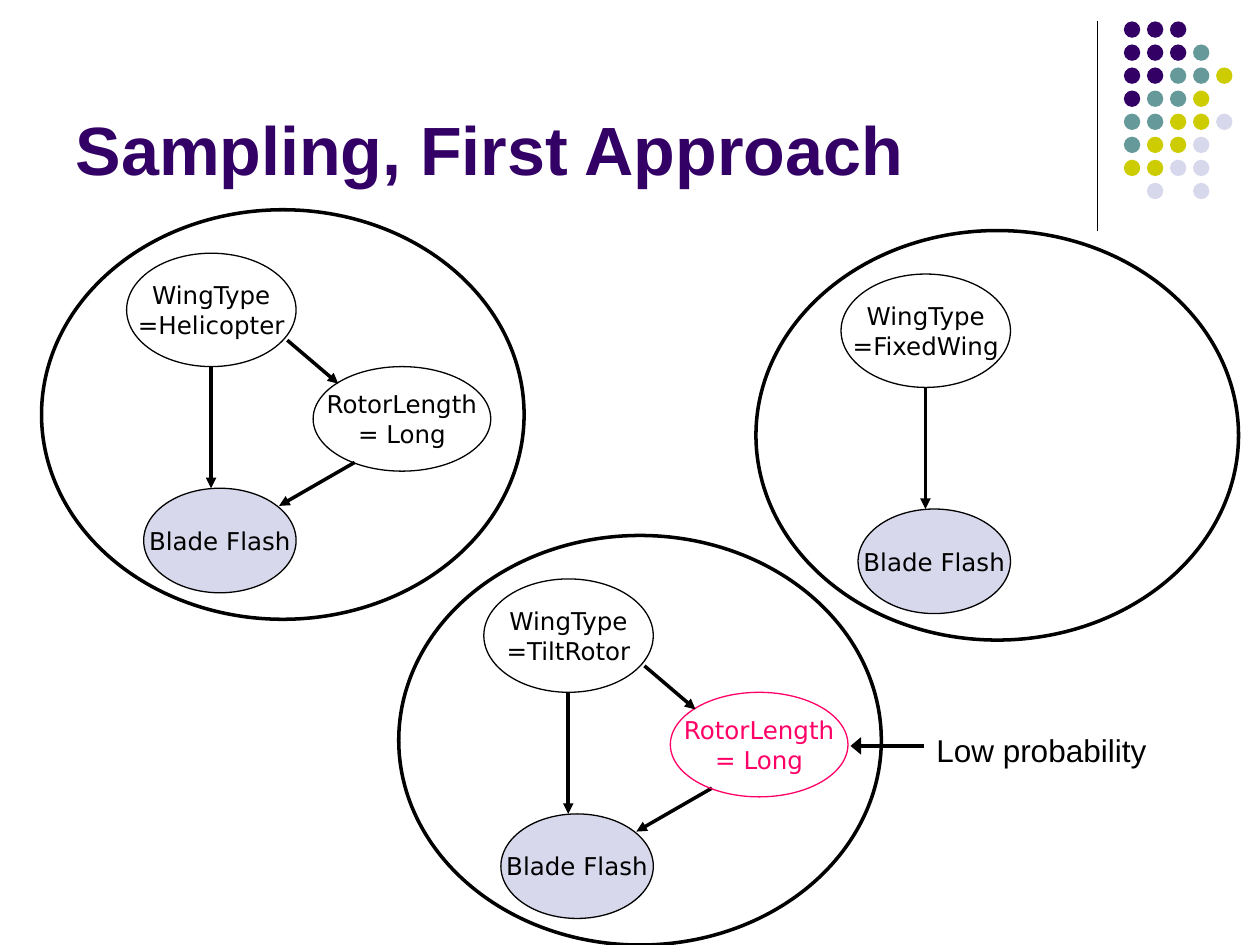
from lxml import etree
from pptx import Presentation
from pptx import util as u
from pptx.dml.color import RGBColor
from pptx.enum import shapes, text
from pptx.oxml.ns import qn

INK = RGBColor(0x00, 0x00, 0x00)
PLUM = RGBColor(0x33, 0x00, 0x66)
TEAL = RGBColor(0x66, 0x99, 0x99)
LIME = RGBColor(0xCC, 0xCC, 0x00)
MIST = RGBColor(0xD8, 0xD8, 0xEC)
PINK = RGBColor(0xFF, 0x00, 0x66)
HUES = {"P": PLUM, "T": TEAL, "L": LIME, "M": MIST}
DOTS = ["PPP", "PPPT", "PPTTL", "PTTL", "TTLLM", "TLLM", "LLMM", " M M"]
SANS, ROUND = "Arial", "DejaVu Sans"
THIN, THICK = 0.75, 2

# The slide is a grid of 1000 columns by 750 rows
COLS, ROWS = 1000, 750
WIDE, HIGH = u.Inches(10), u.Inches(7.5)


def grid(x, y):
    return round(x * WIDE / COLS), round(y * HIGH / ROWS)


def write(frame, lines, size, font, hue, align, bold=False):
    for i, line in enumerate(lines):
        para = frame.paragraphs[0] if i == 0 else frame.add_paragraph()
        para.alignment = align
        run = para.add_run()
        run.text = line
        run.font.size = u.Pt(size)
        run.font.name = font
        run.font.bold = bold
        run.font.color.rgb = hue


def oval(slide, box, fill=None, line=None, width=THIN):
    x, y, w, h = box
    shape = slide.shapes.add_shape(
        shapes.MSO_SHAPE.OVAL, *grid(x, y), *grid(w, h))
    shape.shadow.inherit = False
    if fill is None:
        shape.fill.background()
    else:
        shape.fill.solid()
        shape.fill.fore_color.rgb = fill
    if line is None:
        shape.line.fill.background()
    else:
        shape.line.color.rgb = line
        shape.line.width = u.Pt(width)
    return shape


def node(slide, box, lines, fill=None, hue=INK):
    frame = oval(slide, box, fill, hue).text_frame
    frame.word_wrap = False
    frame.vertical_anchor = text.MSO_ANCHOR.MIDDLE
    write(frame, lines, 14, ROUND, hue, text.PP_ALIGN.CENTER)


def rule(slide, start, end, width=THIN):
    line = slide.shapes.add_connector(
        shapes.MSO_CONNECTOR.STRAIGHT, *grid(*start), *grid(*end))
    line.line.color.rgb = INK
    line.line.width = u.Pt(width)
    etree.SubElement(line._element.spPr, qn("a:effectLst"))
    return line


def arrow(slide, start, end, head="med"):
    edge = rule(slide, start, end, THICK).line._get_or_add_ln()
    etree.SubElement(edge, qn("a:tailEnd"), type="triangle", w=head, len="med")


def corner(slide, x, y):
    """Vertical rule and dot pattern at the top right."""
    rule(slide, (x, y), (x, y + 166))
    step, size = 18.3, 13
    for r, row in enumerate(DOTS):
        for c, key in enumerate(row):
            if key in HUES:
                box = (x + 21 + c * step, y + r * step, size, size)
                oval(slide, box, HUES[key])


def heading(slide, x, y, w, h):
    title = slide.shapes.title
    title.left, title.top = grid(x, y)
    title.width, title.height = grid(w, h)
    frame = title.text_frame
    frame.word_wrap = True
    frame.auto_size = text.MSO_AUTO_SIZE.NONE
    frame.vertical_anchor = text.MSO_ANCHOR.BOTTOM
    write(frame, ["Sampling, First Approach"], 39, SANS, PLUM,
          text.PP_ALIGN.LEFT, True)


def world(slide, x, y, wing, rotor=None):
    """One sampled world; rotor is the colour of its optional node."""
    def at(dx, dy):
        return x + dx, y + dy

    node(slide, (*at(67.5, 34.5), 134.5, 90), ["WingType", "=" + wing])
    node(slide, (*at(81, 221), 121, 83), ["Blade Flash"], MIST)
    arrow(slide, at(134.5, 124.5), at(134.5, 221))
    if rotor is not None:
        arrow(slide, at(248.5, 200.5), at(188.5, 235))
        node(slide, (*at(215.5, 124.5), 141, 83),
             ["RotorLength", "= Long"], hue=rotor)
        arrow(slide, at(195, 103.5), at(235.5, 138))
    oval(slide, (x, y, 383, 325), line=INK, width=THICK)


def remark(slide, x, y, w, h):
    """Label with an arrow that points left to the unlikely node."""
    arrow(slide, (x, y + 17), (x - 58, y + 17), "lg")
    label = slide.shapes.add_textbox(*grid(x, y), *grid(w, h))
    frame = label.text_frame
    frame.word_wrap = False
    frame.auto_size = text.MSO_AUTO_SIZE.SHAPE_TO_FIT_TEXT
    write(frame, ["Low probability"], 18, SANS, INK, text.PP_ALIGN.CENTER)


def main():
    deck = Presentation()
    deck.slide_width, deck.slide_height = WIDE, HIGH
    slide = deck.slides.add_slide(deck.slide_layouts[5])
    corner(slide, 871, 17)
    heading(slide, 50, 13, 825, 142)
    # Three sampled worlds
    world(slide, 33, 166.5, "Helicopter", INK)
    world(slide, 316.5, 425, "TiltRotor", PINK)
    world(slide, 600, 183, "FixedWing")
    remark(slide, 733, 575, 187, 40)
    deck.save("out.pptx")


if __name__ == "__main__":
    main()
